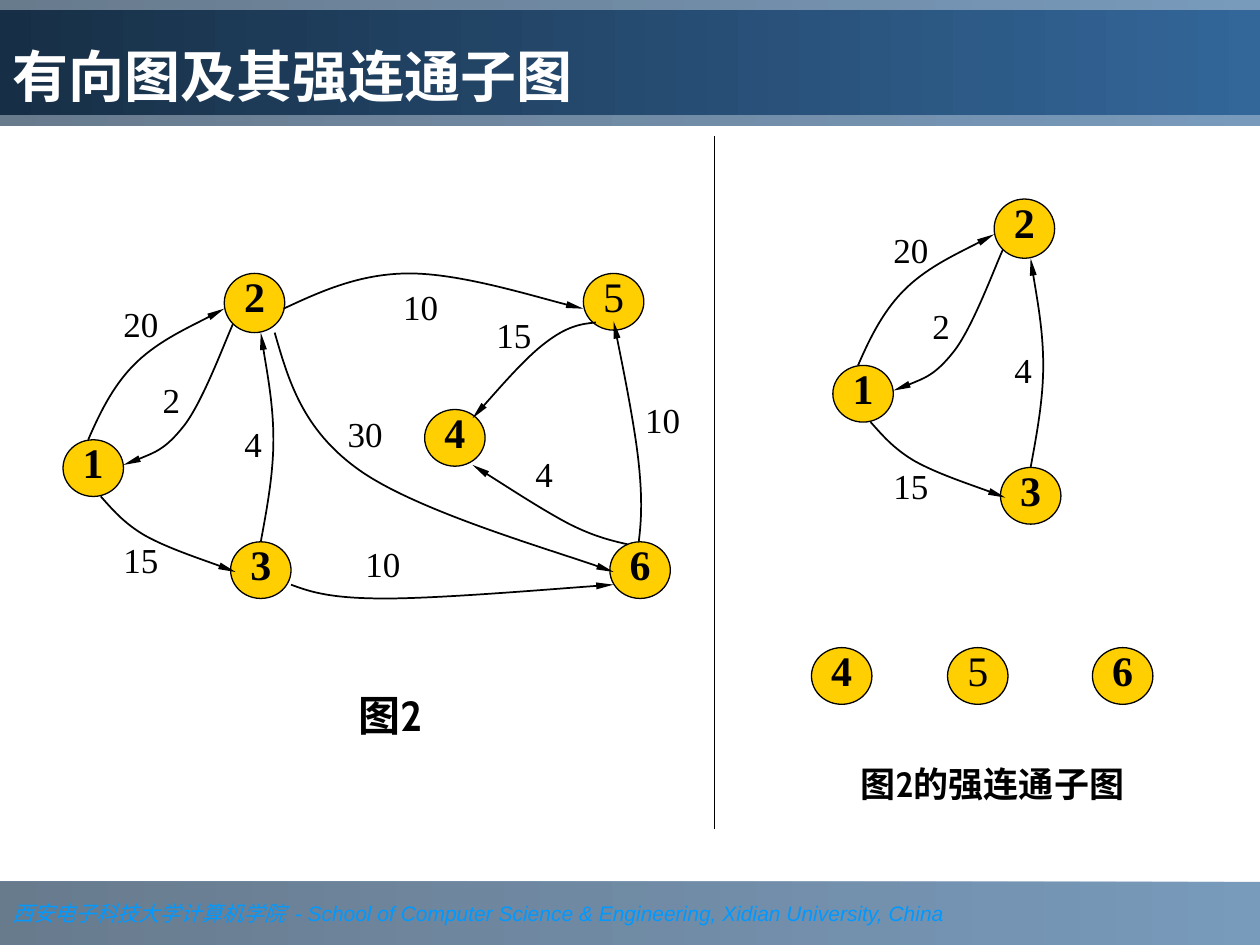
import pptx
import pptx.util
import pptx.dml.color
import pptx.enum.shapes
import pptx.enum.text
import pptx.oxml
import pptx.oxml.ns
from lxml import etree

Inches, Pt = pptx.util.Inches, pptx.util.Pt
RGB = pptx.dml.color.RGBColor.from_string
MSO = pptx.enum.shapes.MSO_SHAPE
ALIGN = pptx.enum.text.PP_ALIGN
ANCHOR = pptx.enum.text.MSO_ANCHOR
qn = pptx.oxml.ns.qn

COLORS = {"blue": "336699", "navy": "172F46", "band": "1B3753", "footer": "0099FF",
          "node": "FFCF01", "black": "000000", "white": "FFFFFF"}
SERIF, SANS = "Times New Roman", "Cabin"


def write(sp, text, size, font, color="black", bold=False, align=ALIGN.LEFT,
          margins=(0.1, 0.05, 0.1, 0.05), spacing=None, anchor=ANCHOR.TOP):
    tf = sp.text_frame
    tf.text = text
    tf.word_wrap = True
    tf.vertical_anchor = anchor
    tf.margin_left, tf.margin_top, tf.margin_right, tf.margin_bottom = map(Inches, margins)
    p = tf.paragraphs[0]
    p.alignment = align
    if spacing:
        p.line_spacing = spacing
    r = p.runs[0]
    r.font.size, r.font.name, r.font.bold = Pt(size), font, bold
    r.font.color.rgb = RGB(COLORS[color])
    return p


def shade(sp, end, alpha=None):
    sp.fill.gradient()
    sp.fill.gradient_angle = 180
    for stop, name in zip(sp.fill.gradient_stops, ("blue", end)):
        stop.color.rgb = RGB(COLORS[name])
    if alpha:
        for clr in sp._element.spPr.iter(qn("a:srgbClr")):
            etree.SubElement(clr, qn("a:alpha")).set("val", str(alpha * 1000))
    sp.line.fill.background()


prs = pptx.Presentation()
prs.slide_width, prs.slide_height = Inches(10), Inches(7.5)
s = prs.slides.add_slide(prs.slide_layouts[5])

for top, height in ((7, 0.5), (0, 1)):
    band = s.shapes.add_shape(MSO.RECTANGLE, 0, Inches(top), Inches(10), Inches(height))
    band.shadow.inherit = False
    shade(band, "band", 66)
    if top:
        p = write(band, "西安电子科技大学计算机学院  ", 12, SERIF, "footer", anchor=ANCHOR.MIDDLE)
        p.runs[0].font.italic = True
        r = p.add_run()
        r.text = "- School of Computer Science & Engineering, Xidian University, China"
        r.font.size, r.font.name, r.font.italic = Pt(12), "Arial", True
        r.font.color.rgb = RGB(COLORS["footer"])

title = s.shapes.title
s.shapes._spTree.append(title._element)
title.left, title.top, title.width, title.height = 0, Inches(0.08), Inches(10), Inches(0.83)
shade(title, "navy")
write(title, "有向图及其强连通子图", 32, SANS, "white", True, anchor=ANCHOR.BOTTOM)

core_nodes = [("1", 0.5, 3.49), ("3", 1.83, 4.3), ("2", 1.78, 2.17)]
core_labels = [("4", 1.94, 3.4), ("15", 0.98, 4.32), ("2", 1.29, 3.05), ("20", 0.98, 2.45)]
core_edges = [
    [(0.7, 3.49), (0.8, 3.26), (0.91, 3.04), (1.09, 2.87), (1.27, 2.7), (1.66, 2.52), (1.78, 2.45)],
    [(1.85, 2.57), (1.79, 2.7), (1.61, 3.19), (1.46, 3.38), (1.31, 3.57), (1.14, 3.63), (0.98, 3.69)],
    [(0.8, 3.94), (0.89, 4.04), (0.98, 4.15), (1.15, 4.25), (1.33, 4.35), (1.75, 4.49), (1.87, 4.54)],
    [(2.07, 4.3), (2.12, 4.03), (2.17, 3.76), (2.17, 3.49), (2.17, 3.21), (2.09, 2.78), (2.07, 2.64)],
]
other_nodes = [("5", 4.63, 2.17), ("4", 3.37, 3.25), ("6", 4.84, 4.3)]
other_labels = [("10", 3.2, 2.31), ("15", 3.94, 2.53), ("30", 2.76, 3.32), ("4", 4.25, 3.64),
                ("10", 5.12, 3.21), ("10", 2.9, 4.35)]
other_edges = [
    [(2.25, 2.45), (2.55, 2.31), (2.86, 2.17), (3.25, 2.17), (3.65, 2.17), (4.4, 2.4), (4.63, 2.45)],
    [(4.73, 2.56), (4.61, 2.57), (4.5, 2.59), (4.33, 2.72), (4.17, 2.84), (3.84, 3.22), (3.75, 3.32)],
    [(5.07, 4.3), (5.09, 4.14), (5.1, 3.97), (5.07, 3.68), (5.04, 3.39), (4.91, 2.74), (4.87, 2.55)],
    [(4.98, 4.32), (4.85, 4.29), (4.72, 4.26), (4.52, 4.16), (4.31, 4.05), (3.88, 3.77), (3.75, 3.69)],
    [(2.18, 2.64), (2.29, 3.02), (2.4, 3.41), (2.85, 3.73), (3.3, 4.05), (4.53, 4.41), (4.87, 4.54)],
    [(2.31, 4.64), (2.47, 4.7), (2.63, 4.75), (3.06, 4.75), (3.49, 4.75), (4.57, 4.66), (4.87, 4.64)],
]
single_nodes = [("4", 6.44, 5.14), ("5", 7.52, 5.14), ("6", 8.67, 5.14)]

graphs = [
    (s.shapes.add_group_shape().shapes, 0, 0, other_nodes + core_nodes,
     core_labels + other_labels, core_edges + other_edges),
    (s.shapes.add_group_shape().shapes, 6.11, -0.59, core_nodes, core_labels, core_edges),
    (s.shapes, 0, 0, single_nodes, [], []),
]
for shapes, dx, dy, nodes, labels, edges in graphs:
    for name, x, y in nodes:
        height = 0.47 if name == "2" else 0.45
        node = shapes.add_shape(MSO.OVAL, Inches(x + dx), Inches(y + dy), Inches(0.48), Inches(height))
        node.shadow.inherit = False
        node.fill.solid()
        node.fill.fore_color.rgb = RGB(COLORS["node"])
        node.line.color.rgb = RGB(COLORS["black"])
        node.line.width = Pt(0.75)
        write(node, name, 24, SERIF, bold=name != "5", align=ALIGN.CENTER,
              margins=(0, 0.04, 0, 0), spacing=0.64)

    for weight, x, y in labels:
        width = 0.3 if len(weight) == 2 else 0.17
        label = shapes.add_textbox(Inches(x + dx), Inches(y + dy), Inches(width), Inches(0.32))
        write(label, weight, 20, SERIF, align=ALIGN.JUSTIFY, margins=(0, 0.04, 0, 0), spacing=0.72)

    for points in edges:
        pts = [(Inches(x + dx), Inches(y + dy)) for x, y in points]
        builder = shapes.build_freeform(*pts[0])
        builder.add_line_segments(pts[1:], close=False)
        edge = builder.convert_to_shape()
        segments = list(edge._element.iter(qn("a:lnTo")))
        outline = segments[0].getparent()
        for i in range(0, len(segments), 3):
            curve = etree.SubElement(outline, qn("a:cubicBezTo"))
            for segment in segments[i:i + 3]:
                curve.append(segment[0])
                outline.remove(segment)
        edge.shadow.inherit = False
        edge.fill.background()
        edge.line.color.rgb = RGB(COLORS["black"])
        edge.line.width = Pt(1)
        arrow = etree.SubElement(edge._element.spPr.find(qn("a:ln")), qn("a:tailEnd"))
        for key, value in (("type", "triangle"), ("w", "sm"), ("len", "lg")):
            arrow.set(key, value)

divider = s.shapes.add_connector(pptx.enum.shapes.MSO_CONNECTOR.STRAIGHT,
                                 Inches(5.67), Inches(1.08), Inches(5.67), Inches(6.58))
divider.line.color.rgb = RGB(COLORS["black"])
divider.line.width = Pt(0.75)
etree.SubElement(divider._element.spPr, qn("a:effectLst"))

captions = [("图2", 2.75, 5.42, 1.25, 0.5, 24, ALIGN.LEFT),
            ("图2的强连通子图", 6.5, 6, 2.75, 0.44, 20, ALIGN.CENTER)]
for text, x, y, width, height, size, align in captions:
    caption = s.shapes.add_textbox(Inches(x), Inches(y), Inches(width), Inches(height))
    write(caption, text, size, SANS, bold=True, align=align)

prs.save("out.pptx")
